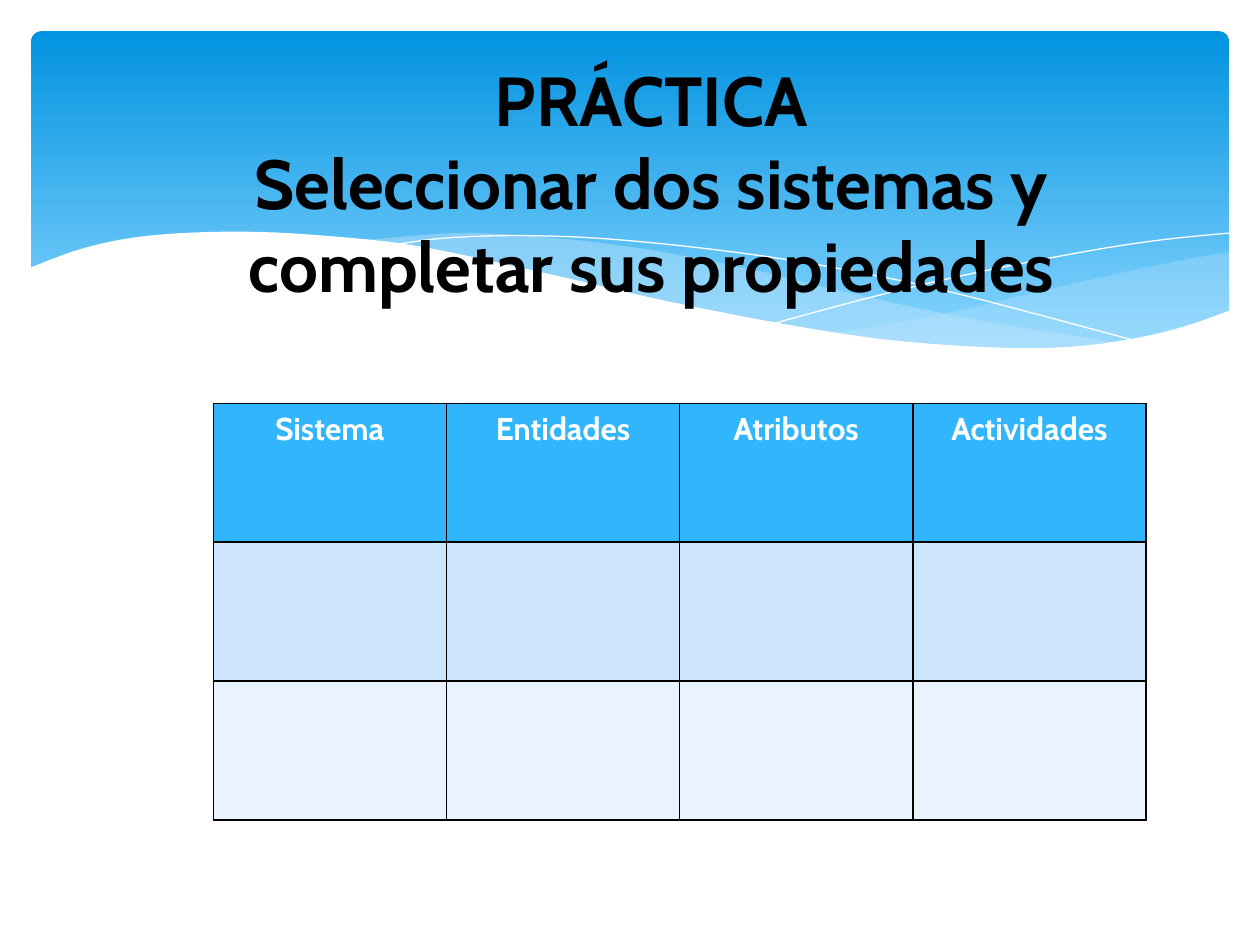
import pptx
import pptx.dml.color
import pptx.enum.shapes
import pptx.enum.text
import pptx.oxml
import pptx.oxml.ns
import pptx.util
from pptx.util import Cm

FONT = "Cabin"
COLORS = {
    "sky_top": "0293E0",
    "sky_bottom": "83D3FE",
    "veil": "C6E7FC",
    "white": "FFFFFF",
    "black": "000000",
    "header": "31B6FD",
    "row_dark": "CEE5FE",
    "row_light": "E8F3FF",
}
HEADERS = ["Sistema", "Entidades", "Atributos", "Actividades"]
ROW_FILLS = ["header", "row_dark", "row_light"]

# Curves are lists of (x, y) in centimetres, left to right or back again.
RIGHT_VEIL = [
    [(24.79, 5.08), (23.75, 5.26), (21.87, 5.66), (19.13, 6.3), (16.79, 6.73)],
    [(16.79, 6.73), (18.26, 6.91), (19.84, 7.04), (21.21, 7.04), (22.38, 6.93),
     (23.57, 6.68), (24.79, 6.27)],
]
LEFT_VEIL = [
    [(7.26, 4.85), (8.74, 4.72), (9.65, 4.7), (11.23, 4.8), (13.06, 5.03),
     (15.19, 5.44), (16.97, 5.87), (19.69, 6.45), (22.68, 6.93)],
    [(22.68, 6.93), (21.29, 7.06), (19.33, 7.04), (17.27, 6.81), (14.38, 6.3),
     (11.4, 5.64), (9.19, 5.16), (7.26, 4.85)],
]
FALLING_LINE = [(7.85, 4.95), (8.97, 4.8), (10.57, 4.75), (12.42, 4.83), (14.78, 5.08),
                (16.89, 5.41), (19.3, 5.92), (23.04, 6.91)]
RISING_LINE = [(15.57, 6.53), (17.65, 5.97), (19.71, 5.49), (22, 5.05),
               (23.47, 4.83), (24.77, 4.7)]
WHITE_WAVE = [
    [(0.58, 5.41), (1.7, 5), (3.02, 4.75), (4.9, 4.67), (6.88, 4.78), (8.64, 5),
     (11.35, 5.59), (13.44, 6.07), (15.9, 6.55), (17.98, 6.86), (20.14, 7.01),
     (21.59, 6.99), (22.83, 6.83), (23.88, 6.58), (24.82, 6.25)],
    [(24.82, 8.36), (0.58, 8.36)],
]


def color(name):
    return pptx.dml.color.RGBColor.from_string(COLORS[name])


def smooth(points, steps=6):
    """Return a Catmull-Rom curve through the points; two points stay a straight line."""
    if len(points) < 3:
        return points
    padded = [points[0], *points, points[-1]]
    curve = [points[0]]
    for a, b, c, d in zip(padded, padded[1:], padded[2:], padded[3:]):
        for step in range(1, steps + 1):
            t = step / steps
            curve.append(tuple(
                0.5 * (2 * q + (r - p) * t + (2 * p - 5 * q + 4 * r - s) * t ** 2
                       + (3 * q - p - 3 * r + s) * t ** 3)
                for p, q, r, s in zip(a, b, c, d)))
    return curve


def add_outline(slide, curves, closed):
    points = [(Cm(x), Cm(y)) for curve in curves for x, y in smooth(curve)]
    builder = slide.shapes.build_freeform(*points[0])
    builder.add_line_segments(points[1:], close=closed)
    shape = builder.convert_to_shape()
    shape.shadow.inherit = False
    return shape


def add_wave(slide, curves, fill, opacity=100):
    shape = add_outline(slide, curves, closed=True)
    shape.line.fill.background()
    shape.fill.solid()
    shape.fill.fore_color.rgb = color(fill)
    if opacity < 100:
        rgb = shape.fill._xPr.find(".//" + pptx.oxml.ns.qn("a:srgbClr"))
        alpha = pptx.oxml.parse_xml(
            f'<a:alpha {pptx.oxml.ns.nsdecls("a")} val="{opacity * 1000}"/>')
        rgb.append(alpha)


def add_curved_line(slide, points):
    shape = add_outline(slide, [points], closed=False)
    shape.fill.background()
    shape.line.color.rgb = color("white")
    shape.line.width = pptx.util.Pt(0)


def add_sky(slide):
    sky = slide.shapes.add_shape(
        pptx.enum.shapes.MSO_SHAPE.ROUNDED_RECTANGLE, Cm(0.63), Cm(0.63), Cm(24.15), Cm(6.86))
    sky.adjustments[0] = 0.03
    sky.shadow.inherit = False
    sky.line.fill.background()
    sky.fill.gradient()
    sky.fill.gradient_angle = 270
    stops = zip(sky.fill.gradient_stops, [0, 0.9], ["sky_top", "sky_bottom"])
    for stop, position, name in stops:
        stop.position = position
        stop.color.rgb = color(name)


def format_text(text_frame, size, color_name):
    for paragraph in text_frame.paragraphs:
        paragraph.alignment = pptx.enum.text.PP_ALIGN.CENTER
        for run in paragraph.runs:
            run.font.name = FONT
            run.font.size = pptx.util.Pt(size)
            run.font.bold = True
            run.font.color.rgb = color(color_name)


def place_title(slide, text):
    """Fill the title placeholder and bring it in front of the waves."""
    title = slide.shapes.title
    title.left, title.top, title.width, title.height = Cm(1.7), Cm(1.93), Cm(22.86), Cm(3.48)
    title.text_frame.text = text
    title.text_frame.word_wrap = True
    title.text_frame.auto_size = pptx.enum.text.MSO_AUTO_SIZE.NONE
    title.text_frame.vertical_anchor = pptx.enum.text.MSO_ANCHOR.MIDDLE
    format_text(title.text_frame, 39.6, "black")
    slide.shapes._spTree.append(title._element)


def set_borders(cell):
    properties = cell._tc.get_or_add_tcPr()
    for index, side in enumerate(["lnL", "lnR", "lnT", "lnB"]):
        properties.insert(index, pptx.oxml.parse_xml(
            f'<a:{side} {pptx.oxml.ns.nsdecls("a")} w="12700"><a:solidFill>'
            f'<a:srgbClr val="{COLORS["black"]}"/></a:solidFill></a:{side}>'))


def add_systems_table(slide):
    column_width, row_height = Cm(4.7), Cm(2.8)
    rows, columns = len(ROW_FILLS), len(HEADERS)
    table = slide.shapes.add_table(
        rows, columns, Cm(4.3), Cm(8.13), column_width * columns, row_height * rows).table
    for row, fill in enumerate(ROW_FILLS):
        for column in range(columns):
            cell = table.cell(row, column)
            cell.fill.solid()
            cell.fill.fore_color.rgb = color(fill)
            set_borders(cell)
    for column, header in enumerate(HEADERS):
        text_frame = table.cell(0, column).text_frame
        text_frame.text = header
        format_text(text_frame, 18, "white")


def main():
    presentation = pptx.Presentation()
    presentation.slide_width, presentation.slide_height = Cm(25.4), Cm(19.05)
    slide = presentation.slides.add_slide(presentation.slide_layouts[5])
    add_sky(slide)
    add_wave(slide, RIGHT_VEIL, "veil", opacity=29)
    add_wave(slide, LEFT_VEIL, "veil", opacity=40)
    add_curved_line(slide, FALLING_LINE)
    add_curved_line(slide, RISING_LINE)
    add_wave(slide, WHITE_WAVE, "white")
    place_title(slide, "PRÁCTICA\vSeleccionar dos sistemas y completar sus propiedades")
    add_systems_table(slide)
    presentation.save("out.pptx")


if __name__ == "__main__":
    main()
